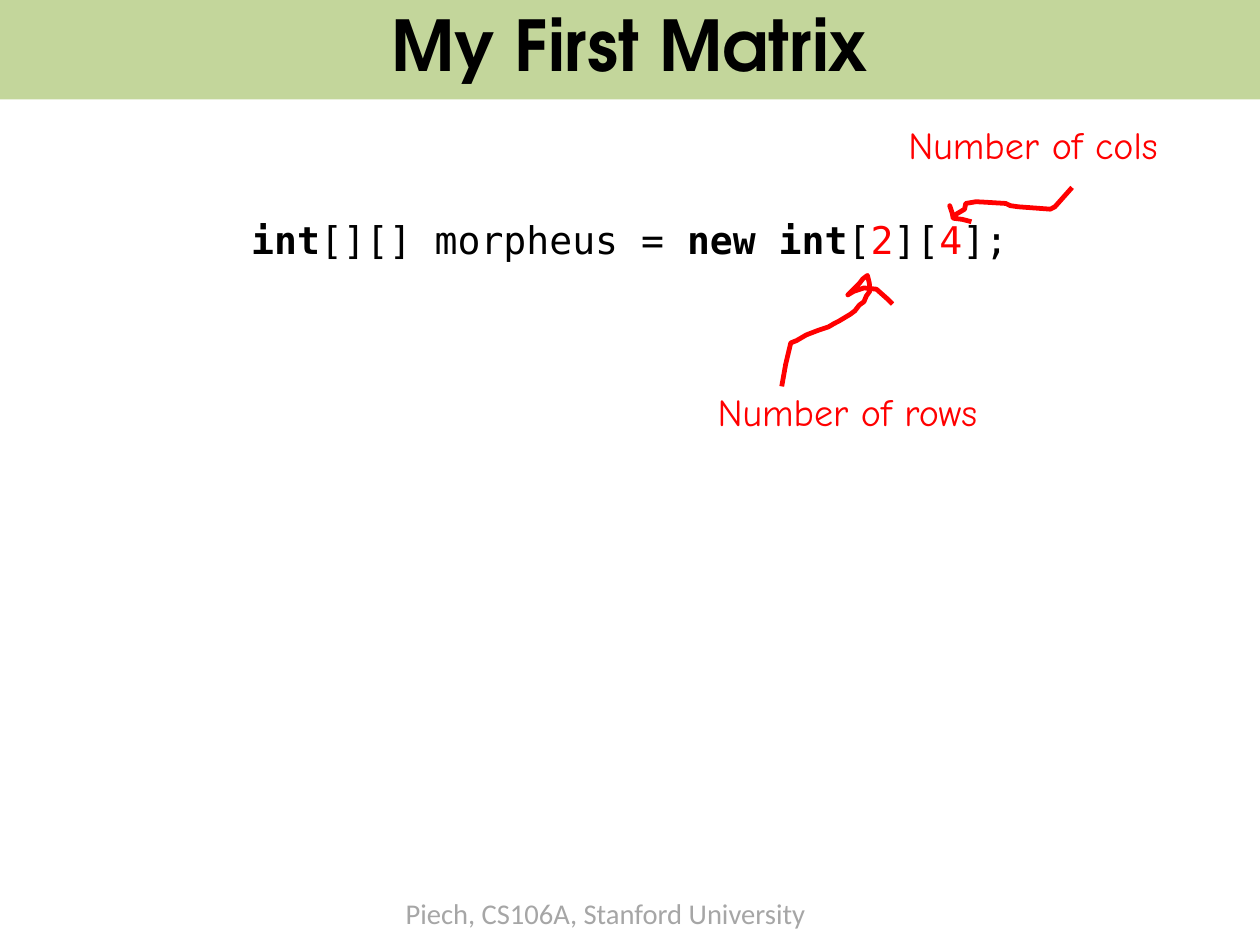
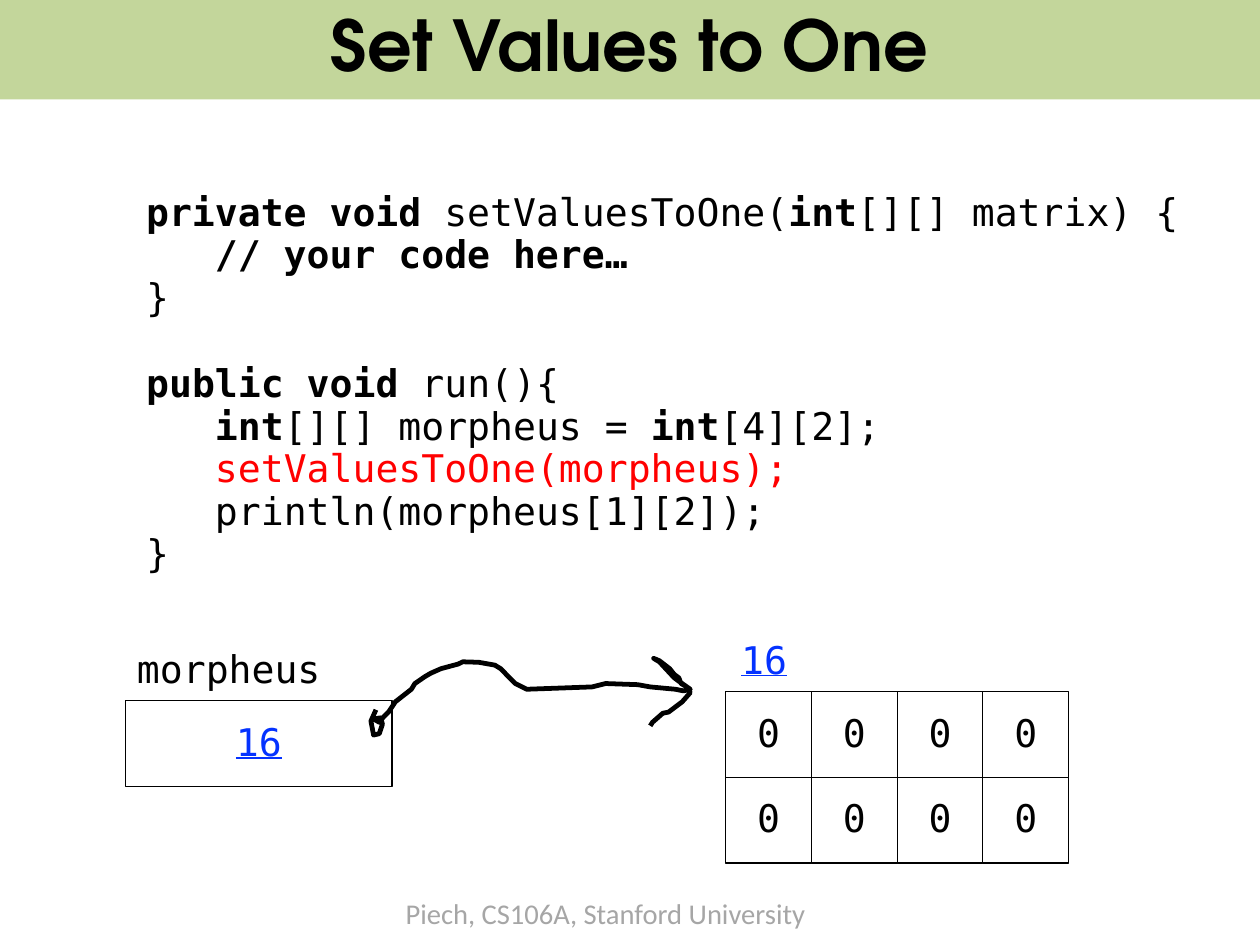
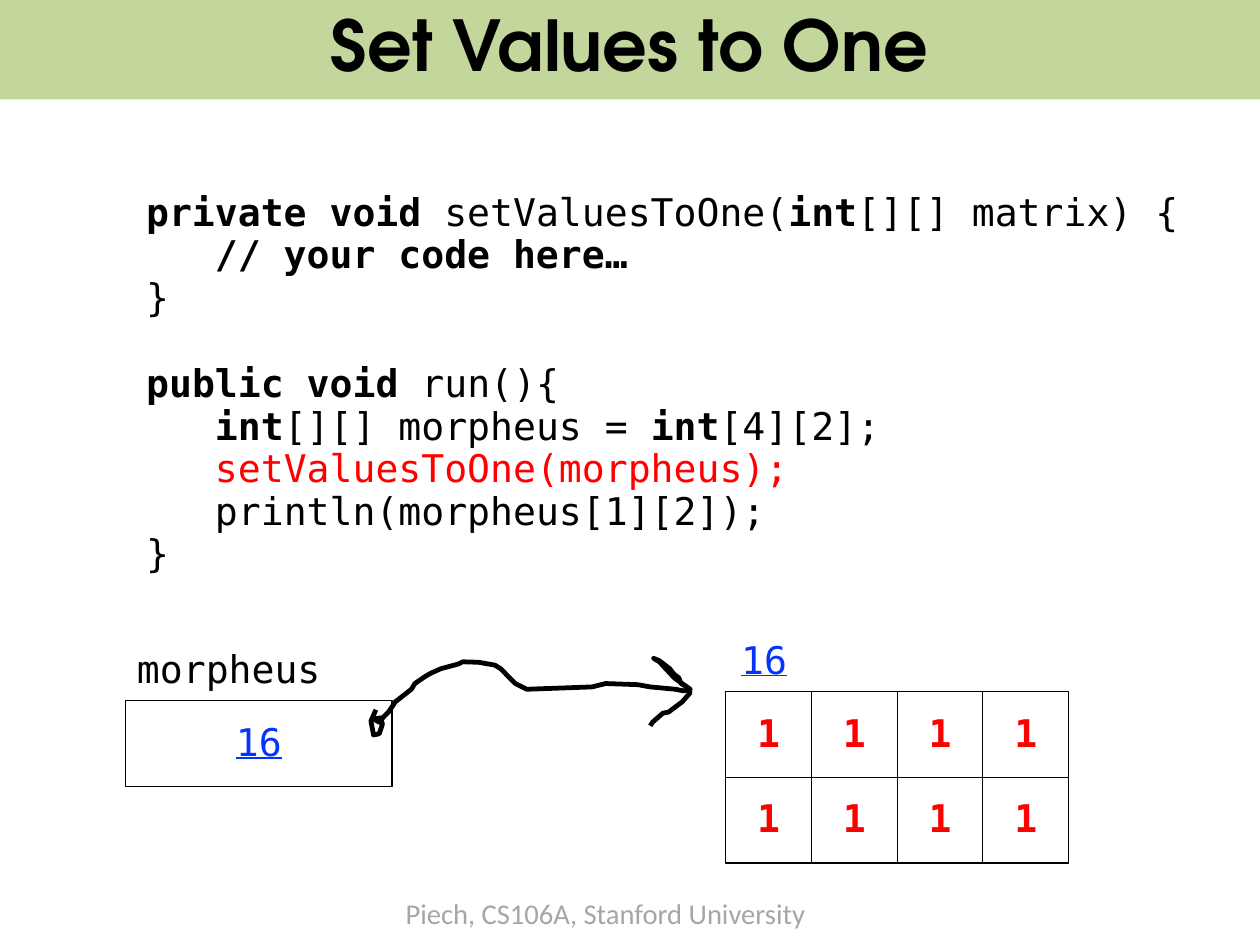
"""Build three slides that introduce a matrix in Java."""
from pptx import Presentation
from pptx.dml.color import RGBColor
from pptx.enum import shapes, text
from pptx.util import Pt

GREEN = RGBColor(0xC3, 0xD6, 0x9B)
BLACK = RGBColor(0x00, 0x00, 0x00)
WHITE = RGBColor(0xFF, 0xFF, 0xFF)
RED = RGBColor(0xFF, 0x00, 0x00)
BLUE = RGBColor(0x04, 0x32, 0xFF)
GRAY = RGBColor(0xA6, 0xA6, 0xA6)
CODE_FONT = "DejaVu Sans Mono"
NOTE_FONT = "Comic Neue"
LEFT, CENTER = text.PP_ALIGN.LEFT, text.PP_ALIGN.CENTER
WIDTH, HEIGHT = 793.75, 595.25
CELL = 54

DECLARATION = [
    [("int", True, BLACK), ("[][] morpheus = ", False, BLACK), ("new int", True, BLACK),
     ("[", False, BLACK), ("2", False, RED), ("][", False, BLACK),
     ("4", False, RED), ("];", False, BLACK)],
]
SETTER = [
    [("private void ", True, BLACK), ("setValuesToOne(", False, BLACK),
     ("int", True, BLACK), ("[][] matrix) {", False, BLACK)],
    [("   // your code here…", True, BLACK)],
    [("}", False, BLACK)],
]
RUN_METHOD = [
    [("public void ", True, BLACK), ("run(){", False, BLACK)],
    [("   int", True, BLACK), ("[][] morpheus = ", False, BLACK),
     ("int", True, BLACK), ("[4][2];", False, BLACK)],
    [("   setValuesToOne(morpheus);", False, RED)],
    [("   println(morpheus[1][2]);", False, BLACK)],
    [("}", False, BLACK)],
]
ROWS_ARROW = [
    (492.5, 243.4), (495, 229.4), (498.2, 216), (501.8, 214.6), (508, 211),
    (515.5, 208.1), (522, 205.9), (525.6, 203.8), (528.5, 202.3), (535.7, 198),
    (538.6, 195.8), (541.4, 192.2), (544.3, 190.1), (545.8, 186.5), (547.9, 183.6),
    (547.7, 178.3), (546.5, 173.5), (543.6, 175.7), (541.4, 178.6), (534.2, 185.8),
    (537.8, 183.6), (544.3, 181.4), (552.2, 182.2), (559.4, 188.6), (562.3, 191.5),
]
COLS_ARROW = [
    (675.4, 118.1), (664.6, 130.3), (661.7, 131.8), (641.5, 130.3), (636.5, 129.6),
    (633.6, 128.2), (620.6, 127.4), (614.9, 127.1), (608.4, 128.2), (607.7, 131.8),
    (600.5, 136.1), (598.3, 129.6), (599.8, 133.9), (600.5, 137.5), (606.2, 138.2),
    (612, 139.7),
]
POINTER_ARROW = [
    (236.9, 447.1), (233.7, 454.2), (235.4, 463), (239, 462.2), (241, 456.1),
    (239.8, 452.2), (235.4, 452.9), (239, 455), (241.2, 452.2), (244.8, 448.6),
    (249.1, 442.1), (259.2, 434.2), (261.4, 430.6), (267.8, 426.2), (271.4, 424.1),
    (277.9, 421.2), (288.7, 418.3), (291.6, 416.9), (301.7, 417.2), (311.8, 419),
    (315.4, 421.2), (321.1, 427), (324.7, 430.6), (331.9, 434.2), (373, 432.7),
    (381.6, 430.6), (401.8, 431.3), (409.7, 432.7), (425.5, 434.2), (430.6, 435.2),
    (434.9, 434.2), (427.7, 429.1), (424.8, 427), (415.4, 416.9), (411.8, 414.7),
    (415.4, 416.2), (421.9, 421.2), (424.8, 424.8), (427.7, 427), (429.1, 430.6),
    (432.7, 432.7), (434.9, 436.3), (429.8, 442.1), (421.2, 448.6), (417.6, 449.3),
    (411.1, 455), (409.7, 457.2),
]


def add_text(slide, box, lines, font=CODE_FONT, size=24, align=LEFT, underline=None, boxed=False):
    """Add lines of (text, bold, colour) runs, in an outlined rectangle if boxed."""
    area = [Pt(length) for length in box]
    if boxed:
        shape = slide.shapes.add_shape(shapes.MSO_SHAPE.RECTANGLE, *area)
        shape.shadow.inherit = False
        shape.fill.solid()
        shape.fill.fore_color.rgb = WHITE
        shape.line.color.rgb = BLACK
        shape.line.width = Pt(0.75)
    else:
        shape = slide.shapes.add_textbox(*area)
    frame = shape.text_frame
    frame.word_wrap = True
    for index, line in enumerate(lines):
        paragraph = frame.paragraphs[0] if index == 0 else frame.add_paragraph()
        paragraph.alignment = align
        paragraph.line_spacing = 0.93
        paragraph.font.name = font
        paragraph.font.size = Pt(size)
        paragraph.font.underline = underline
        for words, bold, color in line:
            run = paragraph.add_run()
            run.text = words
            run.font.bold = bold
            run.font.color.rgb = color


def add_stroke(slide, points, color):
    """Draw a hand-drawn line through the points."""
    start, *others = [(Pt(x), Pt(y)) for x, y in points]
    builder = slide.shapes.build_freeform(*start)
    builder.add_line_segments(others, close=False)
    shape = builder.convert_to_shape()
    shape.shadow.inherit = False
    shape.fill.background()
    shape.line.color.rgb = color
    shape.line.width = Pt(3)


presentation = Presentation()
presentation.slide_width = Pt(WIDTH)
presentation.slide_height = Pt(HEIGHT)

for heading in ("My First Matrix", "Set Values to One", "Set Values to One"):
    slide = presentation.slides.add_slide(presentation.slide_layouts[5])
    title = slide.shapes.title
    title.left, title.top, title.width, title.height = Pt(0), Pt(-2.16), Pt(WIDTH), Pt(64.8)
    title.fill.solid()
    title.fill.fore_color.rgb = GREEN
    title.text_frame.text = heading
    title.text_frame.auto_size = text.MSO_AUTO_SIZE.NONE
    title.text_frame.vertical_anchor = text.MSO_ANCHOR.MIDDLE
    paragraph = title.text_frame.paragraphs[0]
    paragraph.alignment = CENTER
    paragraph.line_spacing = 0.93
    paragraph.font.name = "TeX Gyre Adventor"
    paragraph.font.size = Pt(44.1)
    paragraph.font.bold = True
    paragraph.font.color.rgb = BLACK
    add_text(slide, (248.4, 563, 290, 27.4),
             [[("Piech, CS106A, Stanford University", False, GRAY)]], "Calibri", 18)

declaration_slide, zeros_slide, ones_slide = presentation.slides

add_text(declaration_slide, (151.2, 135.4, 520, 34.6), DECLARATION)
add_text(declaration_slide, (445, 243.4, 196.6, 34.6),
         [[("Number of rows", False, RED)]], NOTE_FONT)
add_stroke(declaration_slide, ROWS_ARROW, RED)
add_text(declaration_slide, (565.2, 75.6, 196.6, 34.6),
         [[("Number of cols", False, RED)]], NOTE_FONT)
add_stroke(declaration_slide, COLS_ARROW, RED)

for slide, value in ((zeros_slide, ("0", False, BLACK)), (ones_slide, ("1", True, RED))):
    add_text(slide, (85, 117.4, 690, 88.6), SETTER)
    add_text(slide, (85, 225.4, 500, 142.6), RUN_METHOD)
    for row in range(2):
        for column in range(4):
            add_text(slide, (457.2 + column * CELL, 435.6 + row * CELL, CELL, CELL),
                     [[value]], align=CENTER, boxed=True)
    address = [[("16", False, BLUE)]]
    add_text(slide, (79.2, 441.4, 167.8, CELL), address, align=CENTER, underline=True, boxed=True)
    add_text(slide, (451.3, 399.6, 60, 34.6), address, align=CENTER, underline=True)
    add_stroke(slide, POINTER_ARROW, BLACK)
    add_text(slide, (79.2, 405.4, 145, 34.6), [[("morpheus", False, BLACK)]])

presentation.save("out.pptx")
